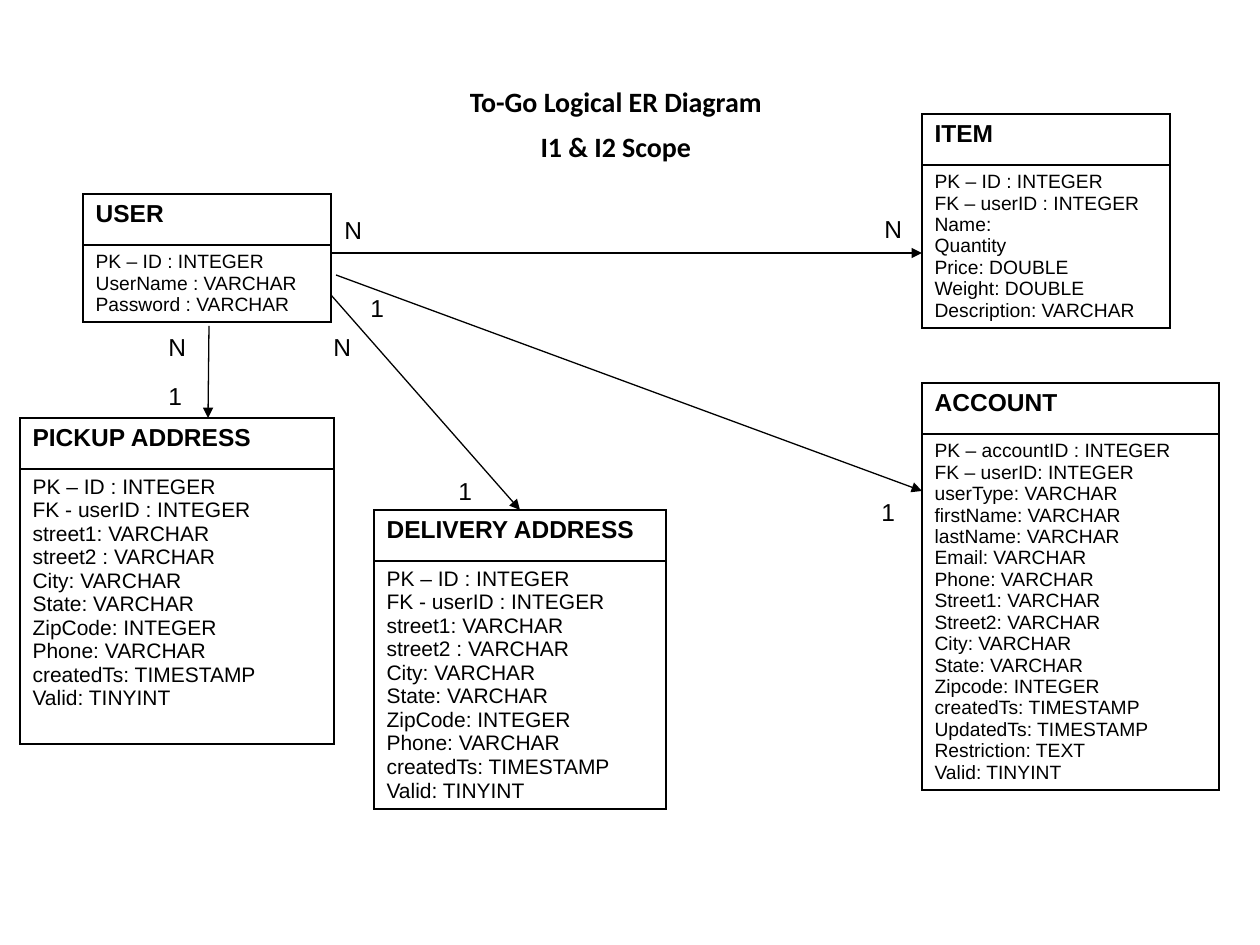
from lxml.etree import SubElement
from pptx import Presentation
from pptx.dml.color import RGBColor
from pptx.enum.shapes import MSO_CONNECTOR
from pptx.enum.text import MSO_ANCHOR, MSO_AUTO_SIZE, PP_ALIGN
from pptx.oxml.ns import qn
from pptx.util import Inches, Pt


def px(n):
    return Inches(n / 126)


def color(value):
    return RGBColor.from_string(value)


class Diagram:
    ink = "000000"
    font = "Arial"
    header_height = 51

    def __init__(self, slide):
        self.s = slide

    def run(self, p, text, size, bold=False, font=None):
        r = p.add_run()
        r.text = text
        r.font.size = Pt(size)
        r.font.bold = bold
        r.font.name = font or self.font
        r.font.color.rgb = color(self.ink)

    def lines(self, tf, texts, size, **style):
        for i, text in enumerate(texts):
            p = tf.add_paragraph() if i else tf.paragraphs[0]
            self.run(p, text, size, **style)

    def title(self, x, y, w, h, texts):
        sp = self.s.shapes.title
        sp.left, sp.top, sp.width, sp.height = map(px, (x, y, w, h))
        tf = sp.text_frame
        tf.word_wrap = True
        tf.auto_size = MSO_AUTO_SIZE.NONE
        tf.vertical_anchor = MSO_ANCHOR.TOP
        self.lines(tf, texts, 16, bold=True, font="Calibri")
        for p in tf.paragraphs:
            p.alignment = PP_ALIGN.CENTER
            p.space_before = Pt(6.4)
            p.line_spacing = 1.0
            pPr = p._p.get_or_add_pPr()
            pPr.set("marL", str(Inches(0.5)))
            pPr.set("indent", str(Inches(-0.47)))

    def border(self, cell):
        tcPr = cell._tc.get_or_add_tcPr()
        for side in ("a:lnL", "a:lnR", "a:lnT", "a:lnB"):
            ln = SubElement(tcPr, qn(side), w=str(Pt(1)))
            fill = SubElement(ln, qn("a:solidFill"))
            SubElement(fill, qn("a:srgbClr"), val=self.ink)

    def entity(self, x, y, w, h, name, fields, size):
        frame = self.s.shapes.add_table(2, 1, px(x), px(y), px(w), px(h))
        table = frame.table
        table.first_row = table.horz_banding = False
        table.rows[0].height = px(self.header_height)
        table.rows[1].height = px(h - self.header_height)
        head, body = table.cell(0, 0), table.cell(1, 0)
        self.lines(head.text_frame, [name], 14, bold=True)
        self.lines(body.text_frame, fields, size)
        for cell in (head, body):
            self.border(cell)
            cell.fill.background()

    def arrow(self, x1, y1, x2, y2):
        c = self.s.shapes.add_connector(MSO_CONNECTOR.STRAIGHT, *map(px, (x1, y1, x2, y2)))
        c.line.width = Pt(0.75)
        c.line.color.rgb = color(self.ink)
        SubElement(c.line._get_or_add_ln(), qn("a:tailEnd"), type="triangle")
        SubElement(c._element.spPr, qn("a:effectLst"))

    def label(self, x, y, text):
        tf = self.s.shapes.add_textbox(px(x), px(y), px(43), px(43)).text_frame
        tf.word_wrap = True
        tf.auto_size = MSO_AUTO_SIZE.SHAPE_TO_FIT_TEXT
        self.lines(tf, [text], 14)


prs = Presentation()
prs.slide_width, prs.slide_height = Inches(10), Inches(7.5)
d = Diagram(prs.slides.add_slide(prs.slide_layouts[5]))

# Title
d.title(71, 78, 1086, 73, ["To-Go Logical ER Diagram", "I1 & I2 Scope"])

# Entities
address = [
    "PK – ID : INTEGER", "FK - userID : INTEGER", "street1: VARCHAR",
    "street2 : VARCHAR", "City: VARCHAR", "State: VARCHAR", "ZipCode: INTEGER",
    "Phone: VARCHAR", "createdTs: TIMESTAMP", "Valid: TINYINT",
]
user = ["PK – ID : INTEGER", "UserName : VARCHAR", "Password : VARCHAR"]
item = [
    "PK – ID : INTEGER", "FK – userID : INTEGER", "Name:", "Quantity",
    "Price: DOUBLE", "Weight: DOUBLE", "Description: VARCHAR",
]
account = [
    "PK – accountID : INTEGER", "FK – userID: INTEGER", "userType: VARCHAR",
    "firstName: VARCHAR", "lastName: VARCHAR", "Email: VARCHAR", "Phone: VARCHAR",
    "Street1: VARCHAR", "Street2: VARCHAR", "City: VARCHAR", "State: VARCHAR",
    "Zipcode: INTEGER", "createdTs: TIMESTAMP", "UpdatedTs: TIMESTAMP",
    "Restriction: TEXT", "Valid: TINYINT",
]
for x, y, w, h, name, fields, size in [
    (83, 194, 248, 128, "USER", user, 11),
    (20, 418, 314, 326, "PICKUP ADDRESS", address, 12),
    (374, 510, 292, 299, "DELIVERY ADDRESS", address, 12),
    (922, 114, 248, 214, "ITEM", item, 11),
    (922, 383, 297, 407, "ACCOUNT", account, 11),
]:
    d.entity(x, y, w, h, name, fields, size)

# Relations
for ends in [
    (331, 253, 922, 253),
    (336, 275, 922, 491),
    (331, 295, 520, 510),
    (209, 326, 208, 418),
]:
    d.arrow(*ends)

# Cardinalities
for x, y, text in [
    (156, 326, "N"), (156, 375, "1"),
    (321, 326, "N"), (446, 470, "1"),
    (358, 287, "1"), (869, 491, "1"),
    (332, 209, "N"), (872, 208, "N"),
]:
    d.label(x, y, text)

prs.save("out.pptx")
